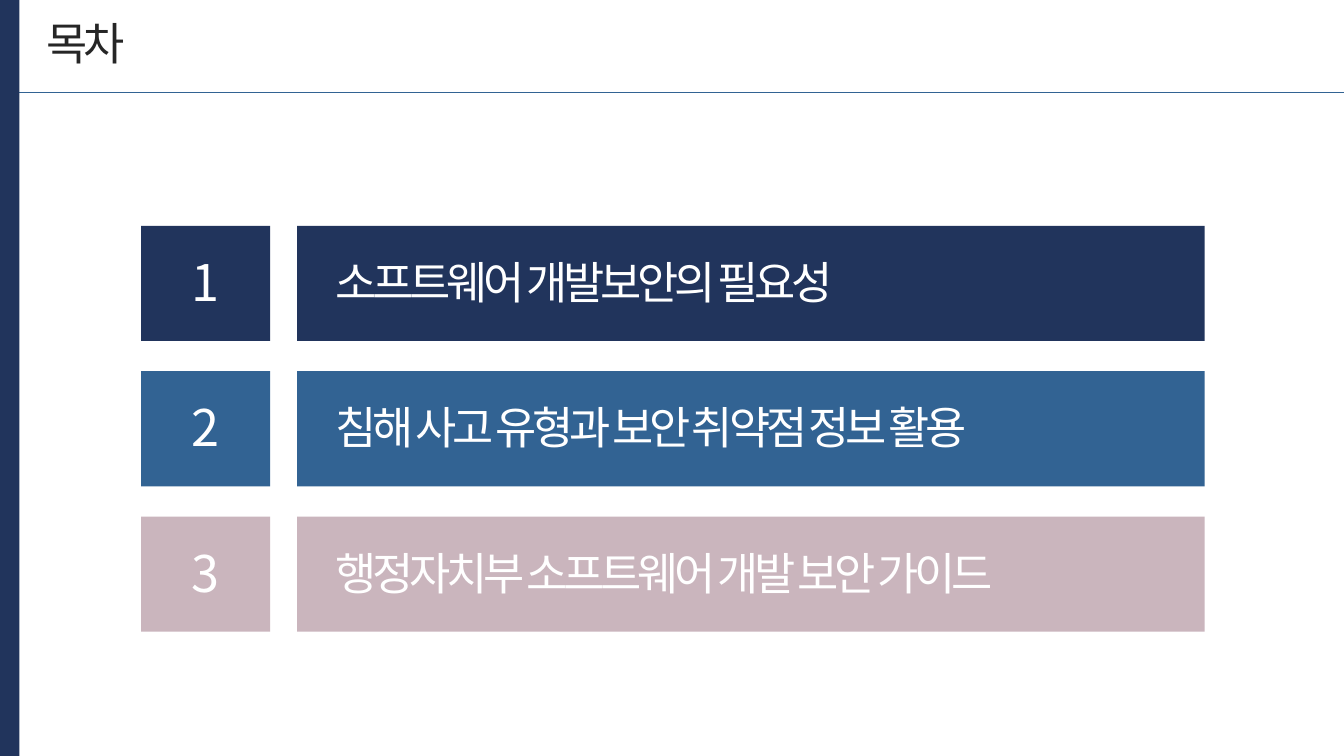
from dataclasses import dataclass

from lxml import etree
from pptx import Presentation
from pptx import util as u
from pptx.dml.color import RGBColor
from pptx.enum import shapes, text
from pptx.oxml.ns import qn


@dataclass(frozen=True)
class Theme:
    """Colours, font and type sizes of the deck."""
    navy: str = "21345C"
    blue: str = "326393"
    rose: str = "CAB5BD"
    ink: str = "262626"
    white: str = "FFFFFF"
    font: str = "Noto Sans CJK KR"
    body: int = 32
    number: int = 36
    spacing: int = -300


THEME = Theme()
SLIDE_W, SLIDE_H = 33.87, 19.05
LEFT, CENTER = text.PP_ALIGN.LEFT, text.PP_ALIGN.CENTER


def add_block(s, x, y, w, h, color):
    """Add a plain filled rectangle."""
    sp = s.shapes.add_shape(shapes.MSO_SHAPE.RECTANGLE, u.Cm(x), u.Cm(y), u.Cm(w), u.Cm(h))
    sp.shadow.inherit = False
    sp.fill.solid()
    sp.fill.fore_color.rgb = RGBColor.from_string(color)
    sp.line.fill.background()


def add_label(s, x, y, w, h, words, size, color, align=LEFT, inset=0.25):
    """Add one vertically centred line of tightly spaced text."""
    tf = s.shapes.add_textbox(u.Cm(x), u.Cm(y), u.Cm(w), u.Cm(h)).text_frame
    tf.word_wrap = True
    tf.vertical_anchor = text.MSO_ANCHOR.MIDDLE
    tf.margin_left = tf.margin_right = u.Cm(inset)
    p = tf.paragraphs[0]
    p.alignment = align
    r = p.add_run()
    r.text = words
    r.font.size = u.Pt(size)
    r.font.name = THEME.font
    r.font.color.rgb = RGBColor.from_string(color)
    props = r.font._element
    props.set("spc", str(THEME.spacing))
    etree.SubElement(props, qn("a:ea")).set("typeface", THEME.font)


def add_header(s, x, y, w, h, title):
    """Add the title and the rule along the bottom of the header box."""
    rule = s.shapes.add_connector(
        shapes.MSO_CONNECTOR.STRAIGHT, u.Cm(x), u.Cm(y + h), u.Cm(x + w), u.Cm(y + h))
    rule.line.color.rgb = RGBColor.from_string(THEME.blue)
    rule.line.width = u.Pt(0.5)
    etree.SubElement(rule._element.spPr, qn("a:effectLst"))
    add_label(s, x + 0.43, y + 0.27, 2.6, 1.63, title, THEME.body, THEME.ink)


def add_agenda_row(s, x, y, w, h, number, words, color):
    """Add a numbered tile and its topic bar."""
    tile_w, gap, label_h, number_w = 3.25, 0.68, 1.8, 1.1
    bar_x, bar_w = x + tile_w + gap, w - tile_w - gap
    label_y = y + (h - label_h) / 2 - 0.05
    add_block(s, x, y, tile_w, h, color)
    add_block(s, bar_x, y, bar_w, h, color)
    add_label(s, x + (tile_w - number_w) / 2, label_y, number_w, label_h,
              str(number), THEME.number, THEME.white, CENTER, 0)
    add_label(s, bar_x + 0.71, label_y, bar_w - 1.42, label_h,
              words, THEME.body, THEME.white)


def add_agenda(s, x, y, w, h, topics):
    """Stack the agenda rows evenly within the box."""
    row_h = 2.9
    pitch = (h - row_h) / (len(topics) - 1)
    for i, (words, color) in enumerate(topics):
        add_agenda_row(s, x, y + i * pitch, w, row_h, i + 1, words, color)


def build_contents(prs):
    """Build the contents slide."""
    s = prs.slides.add_slide(prs.slide_layouts[6])
    edge = 0.49
    add_header(s, edge, 0, SLIDE_W - edge, 2.32, "목차")
    add_block(s, 0, 0, edge, SLIDE_H, THEME.navy)
    add_agenda(s, 3.56, 5.69, 26.8, 10.23, [
        ("소프트웨어 개발보안의 필요성", THEME.navy),
        ("침해 사고 유형과 보안 취약점 정보 활용", THEME.blue),
        ("행정자치부 소프트웨어 개발 보안 가이드", THEME.rose),
    ])


def main():
    """Create and save the deck."""
    prs = Presentation()
    prs.slide_width, prs.slide_height = u.Cm(SLIDE_W), u.Cm(SLIDE_H)
    build_contents(prs)
    prs.save("out.pptx")


main()
